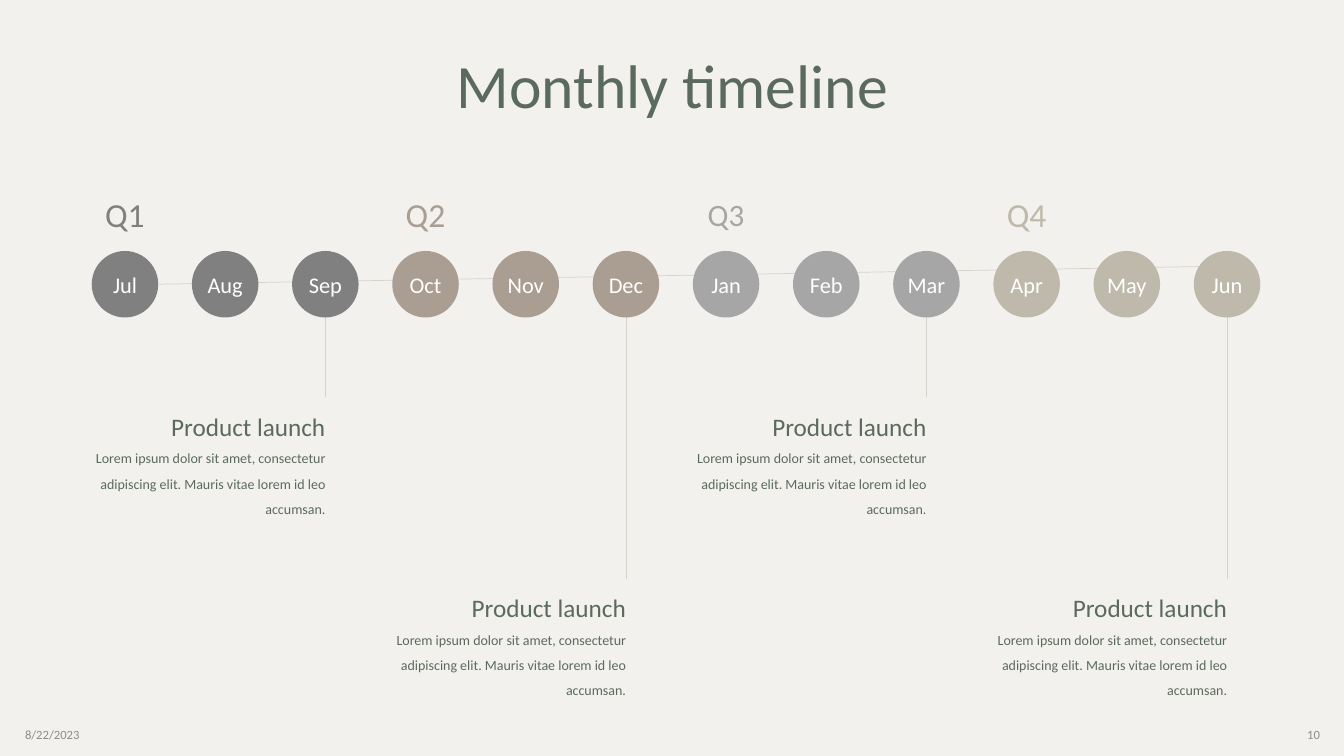
"""Build the monthly timeline slide."""
import pptx
import pptx.util
import pptx.dml.color
import pptx.enum.shapes
import pptx.enum.text
import pptx.oxml

Inches = pptx.util.Inches
Align = pptx.enum.text.PP_ALIGN
Anchor = pptx.enum.text.MSO_ANCHOR
Fit = pptx.enum.text.MSO_AUTO_SIZE
Color = pptx.dml.color.RGBColor.from_string

HUES = {
    "back": "F2F1EE", "ink": "5B6A5E", "line": "D8D2CD", "white": "FFFFFF",
    "foot": "8C8C8C", "Q1": "808080", "Q2": "AA9D92", "Q3": "A6A6A6",
    "Q4": "BEB9AA",
}
BODY = ("Lorem ipsum dolor sit amet, consectetur adipiscing elit. "
        "Mauris vitae lorem id leo accumsan.")
MONTHS = "Jul Aug Sep Oct Nov Dec Jan Feb Mar Apr May Jun".split()
LEFT, TOP, SIZE, STEP = 0.91, 2.49, 0.66, 10.93 / 11


def write(text, spot, box=None, size=16, hue="ink", align=Align.CENTER,
          anchor=Anchor.TOP, space=1.0, fit=Fit.NONE, right=0.1, body=None):
    """Place text, with an optional smaller body below it."""
    box = box or deck.shapes.add_textbox(0, 0, 0, 0)
    box.left, box.top, box.width, box.height = map(Inches, spot)
    frame = box.text_frame
    frame.word_wrap = True
    frame.auto_size = fit
    frame.vertical_anchor = anchor
    frame.margin_right = Inches(right)
    rows = [(text, size, space)]
    if body:
        rows.append((body, 10, 1.5))
    for i, (words, points, gap) in enumerate(rows):
        para = frame.add_paragraph() if i else frame.paragraphs[0]
        para.alignment = align
        para.line_spacing = gap
        run = para.add_run()
        run.text = words
        run.font.size = pptx.util.Pt(points)
        run.font.name = "Calibri"
        run.font.color.rgb = Color(HUES[hue])


def draw(*ends):
    """Draw a thin line between two points."""
    line = deck.shapes.add_connector(
        pptx.enum.shapes.MSO_CONNECTOR.STRAIGHT, *map(Inches, ends))
    line.line.color.rgb = Color(HUES["line"])
    line.line.width = pptx.util.Pt(0.5)
    props = line._element.spPr
    props.append(pptx.oxml.parse_xml(
        '<a:effectLst xmlns:a='
        '"http://schemas.openxmlformats.org/drawingml/2006/main"/>'))


show = pptx.Presentation()
show.slide_width, show.slide_height = Inches(13.33), Inches(7.5)
deck = show.slides.add_slide(show.slide_layouts[5])
deck.background.fill.solid()
deck.background.fill.fore_color.rgb = Color(HUES["back"])

write("Monthly timeline", (0.92, 0.15, 11.5, 1.45), box=deck.shapes.title,
      size=44, anchor=Anchor.MIDDLE, space=0.9)

stems = [LEFT + SIZE / 2 + STEP * i for i in (2, 5, 8, 11)]
ends = [3.94, 5.74, 3.94, 5.74]
for x, end in zip(stems, ends):
    draw(x, 2.84, x, end)
draw(LEFT + SIZE, 2.82, stems[-1], 2.64)

for i, month in enumerate(MONTHS):
    x = LEFT + STEP * i
    dot = deck.shapes.add_shape(
        pptx.enum.shapes.MSO_SHAPE.OVAL,
        Inches(x), Inches(TOP), Inches(SIZE), Inches(SIZE))
    dot.shadow.inherit = False
    dot.fill.solid()
    dot.fill.fore_color.rgb = Color(HUES[f"Q{i // 3 + 1}"])
    dot.line.fill.background()
    write(month, (x + SIZE / 2 - 0.415, 2.64, 0.83, 0.37), hue="white",
          fit=Fit.SHAPE_TO_FIT_TEXT)

for x, end in zip(stems, ends):
    write("Product launch", (x - 2.7, end + 0.09, 2.7, 1.13), size=18,
          align=Align.RIGHT, fit=Fit.SHAPE_TO_FIT_TEXT, right=0, body=BODY)

for i, size in enumerate((24, 24, 22.2, 24)):
    name = f"Q{i + 1}"
    write(name, (LEFT + STEP * 3 * i, 1.87, SIZE, 0.55), size=size, hue=name,
          anchor=Anchor.MIDDLE, space=0.9)

for text, x, align in (("8/22/2023", 0.15, Align.LEFT),
                       ("10", 10.19, Align.RIGHT)):
    write(text, (x, 7.09, 3, 0.4), size=9, hue="foot", align=align,
          anchor=Anchor.MIDDLE)

show.save("out.pptx")
